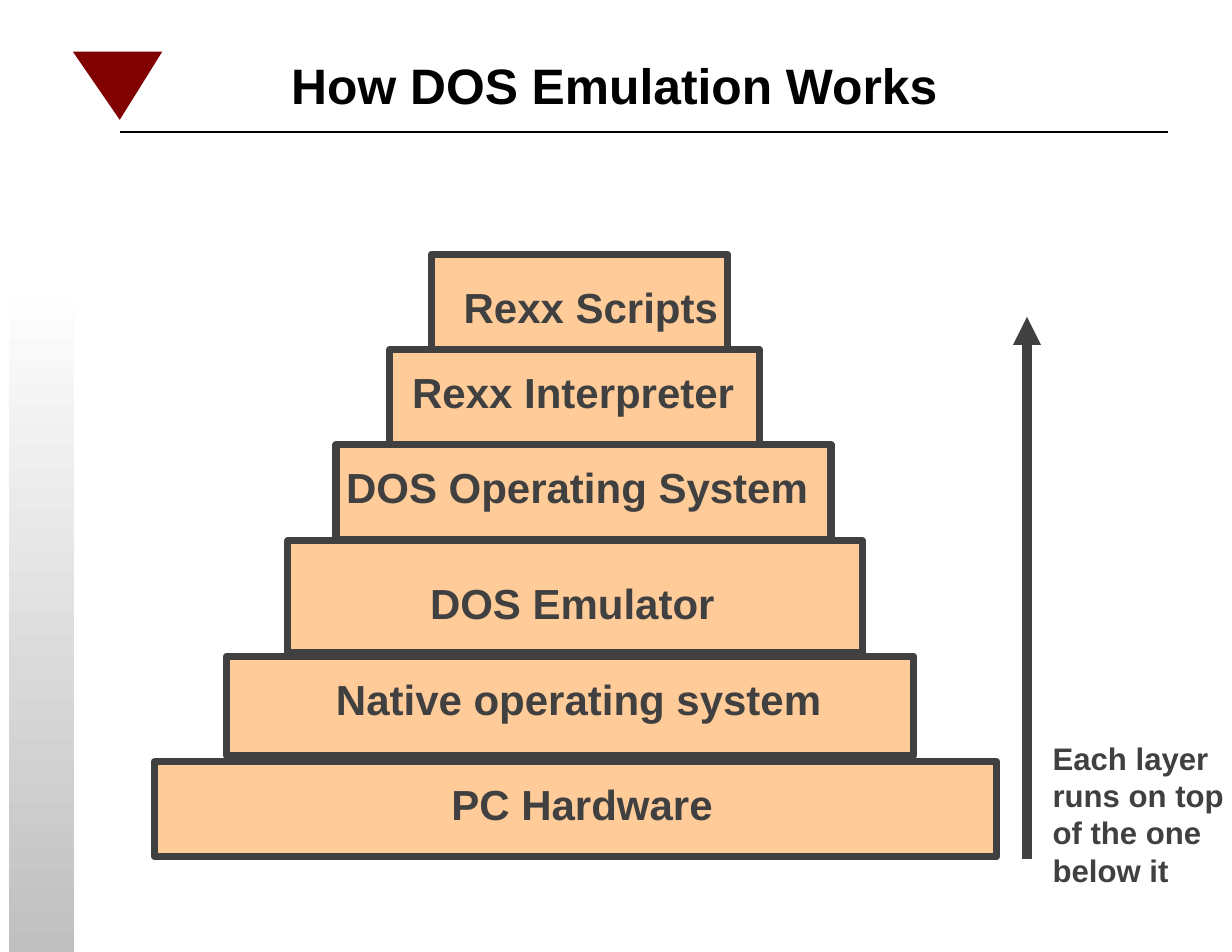
from dataclasses import dataclass

from lxml import etree
from pptx import Presentation
from pptx.dml.color import RGBColor
from pptx.enum.shapes import MSO_CONNECTOR, MSO_SHAPE
from pptx.enum.text import MSO_ANCHOR, MSO_AUTO_SIZE, PP_ALIGN
from pptx.oxml.ns import qn
from pptx.util import Pt

STRAIGHT = MSO_CONNECTOR.STRAIGHT
RECTANGLE = MSO_SHAPE.RECTANGLE
TOP = MSO_ANCHOR.TOP
GROW = MSO_AUTO_SIZE.SHAPE_TO_FIT_TEXT
LEFT = PP_ALIGN.LEFT


@dataclass(frozen=True)
class Theme:
    """Colours, font and type sizes of the deck."""
    font: str = "Arial"
    black: RGBColor = RGBColor(0x00, 0x00, 0x00)
    dark: RGBColor = RGBColor(0x40, 0x40, 0x40)
    peach: RGBColor = RGBColor(0xFF, 0xCC, 0x99)
    maroon: RGBColor = RGBColor(0x81, 0x00, 0x00)
    silver: RGBColor = RGBColor(0xC0, 0xC0, 0xC0)
    white: RGBColor = RGBColor(0xFF, 0xFF, 0xFF)
    title_size: float = 32
    label_size: float = 27
    note_size: float = 20


THEME = Theme()
LABEL_HEIGHT = 40.32
LAYERS = [
    ("PC Hardware", (99.36, 489.6, 541.44, 61.2), (282.24, 6.48, 184.32)),
    ("Native operating system", (145.44, 421.92, 442.08, 64.08), (208.08, 6.48, 328.32)),
    ("DOS Emulator", (185.04, 347.76, 369.36, 72), (268.56, 19.44, 199.44)),
    ("DOS Operating System", (216, 285.84, 318.24, 61.2), (214.56, 6.48, 313.2)),
    ("Rexx Interpreter", (250.56, 224.64, 237.6, 61.2), (257.04, 6.48, 223.2)),
    ("Rexx Scripts", (277.2, 163.44, 190.8, 61.2), (290.16, 12.96, 180)),
]
NOTE_LINES = ["Each layer", "runs on top", "of the one", "below it"]


def apply_format(target, values):
    """Set each attribute named in a dict of format values."""
    for name, value in values.items():
        setattr(target, name, value)


def write_text(box, lines, size, color, insets=(7.92, 4.32)):
    """Fill a box with bold left-aligned lines that do not wrap."""
    side, edge = (Pt(inset) for inset in insets)
    frame = box.text_frame
    frame.text = "\n".join(lines)
    apply_format(frame, {
        "word_wrap": False, "auto_size": GROW, "vertical_anchor": TOP,
        "margin_left": side, "margin_right": side,
        "margin_top": edge, "margin_bottom": edge,
    })
    for para in frame.paragraphs:
        para.alignment = LEFT
        for span in para.runs:
            apply_format(span.font, {"name": THEME.font, "size": Pt(size), "bold": True})
            span.font.color.rgb = color


def add_title(page, text):
    """Place the slide title in the title placeholder."""
    title = page.shapes.title
    apply_format(title, {"left": Pt(179.28), "top": Pt(30.96),
                         "width": Pt(432.72), "height": Pt(46.8)})
    write_text(title, [text], THEME.title_size, THEME.black)


def add_label(page, bounds, lines, size, insets=(7.92, 4.32)):
    """Add a dark text box."""
    box = page.shapes.add_textbox(*map(Pt, bounds))
    write_text(box, lines, size, THEME.dark, insets)


def add_layer(page, bounds):
    """Add one outlined step of the pyramid."""
    layer = page.shapes.add_shape(RECTANGLE, *map(Pt, bounds))
    layer.shadow.inherit = False
    layer.fill.solid()
    layer.fill.fore_color.rgb = THEME.peach
    layer.line.color.rgb = THEME.dark
    layer.line.width = Pt(4.5)


def add_triangle(page):
    """Add the downward triangle beside the title."""
    corners = [(Pt(x), Pt(y)) for x, y in [(46.8, 33.12), (77.04, 77.04), (104.4, 33.12)]]
    builder = page.shapes.build_freeform(*corners[0], scale=1.0)
    builder.add_line_segments(corners[1:], close=True)
    triangle = builder.convert_to_shape()
    triangle.shadow.inherit = False
    triangle.fill.solid()
    triangle.fill.fore_color.rgb = THEME.maroon
    triangle.line.fill.background()


def add_side_band(page):
    """Add the left band that fades to white at its top."""
    band = page.shapes.add_shape(RECTANGLE, Pt(5.76), Pt(177.84), Pt(41.76), Pt(434.16))
    band.shadow.inherit = False
    band.fill.gradient()
    band.fill.gradient_angle = 90
    for stop, color in zip(band.fill.gradient_stops, (THEME.silver, THEME.white)):
        stop.color.rgb = color
    band.line.fill.background()


def add_line(page, start, end, color, width, arrow=False):
    """Add a straight line, with an arrowhead at its end if asked."""
    line = page.shapes.add_connector(STRAIGHT, *map(Pt, start + end))
    line.line.color.rgb = color
    line.line.width = Pt(width)
    properties = line.element.spPr
    if arrow:
        etree.SubElement(properties.find(qn("a:ln")), qn("a:tailEnd"), type="triangle")
    etree.SubElement(properties, qn("a:effectLst"))


def main():
    """Build and save the deck."""
    deck = Presentation()
    apply_format(deck, {"slide_width": Pt(792), "slide_height": Pt(612)})
    page = deck.slides.add_slide(deck.slide_layouts.get_by_name("Title Only"))
    add_side_band(page)
    add_triangle(page)
    add_line(page, (77.04, 84.96), (750.96, 84.96), THEME.black, 1.5)
    add_title(page, "How DOS Emulation Works")
    for text, bounds, (left, drop, width) in LAYERS:
        add_layer(page, bounds)
        label_bounds = (left, bounds[1] + drop, width, LABEL_HEIGHT)
        add_label(page, label_bounds, [text], THEME.label_size)
    add_line(page, (660.24, 552.24), (660.24, 203.76), THEME.dark, 6, arrow=True)
    add_label(page, (669.6, 471.6, 124.56, 103.68), NOTE_LINES, THEME.note_size, (7.2, 3.6))
    deck.save("out.pptx")


if __name__ == "__main__":
    main()
